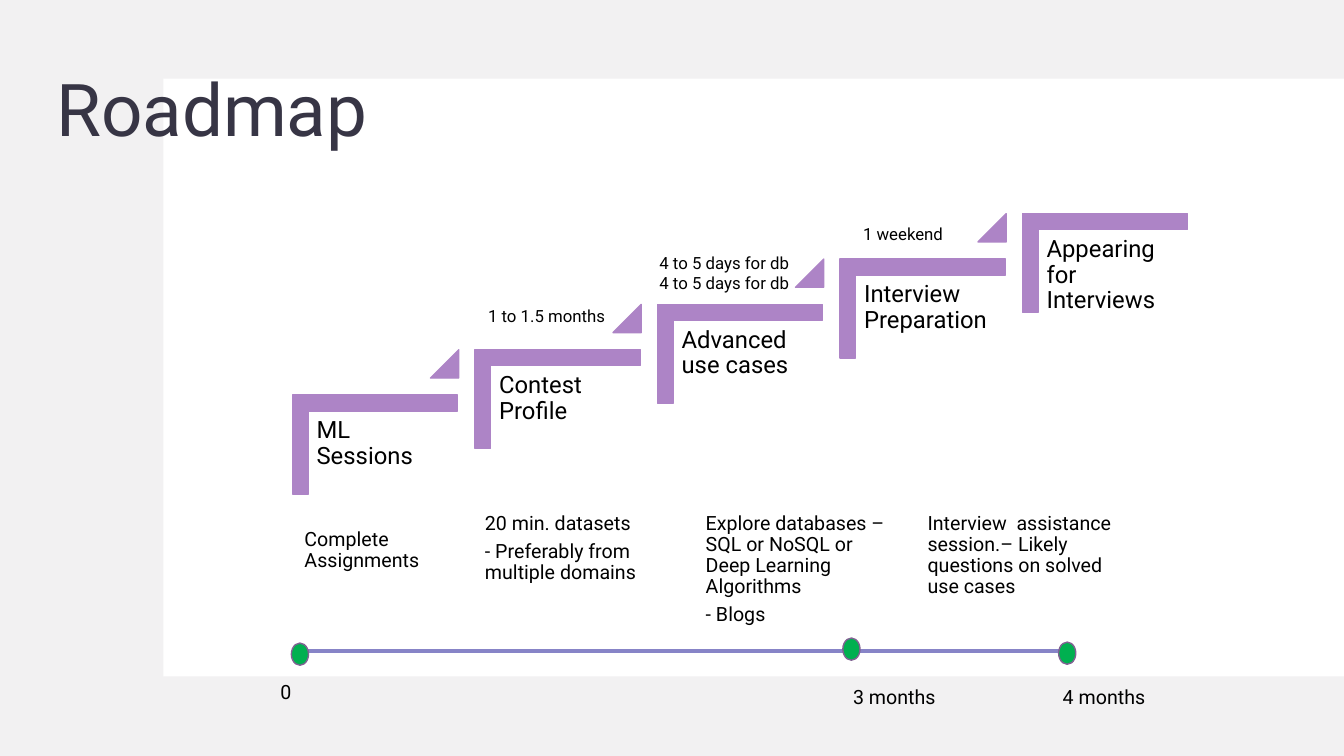
from lxml import etree
from pptx import Presentation
from pptx.dml.color import RGBColor
from pptx.enum import shapes, text
from pptx.oxml.ns import qn
from pptx.util import Inches, Pt

PURPLE, GREEN, RING, TRACK = "AD84C6", "00B050", "806292", "8784C7"
INK, TITLE_INK, BACKDROP, WHITE = "000000", "373545", "DCD8DC", "FFFFFF"
KIND = shapes.MSO_SHAPE


def color(hex_string):
    return RGBColor.from_string(hex_string)


def apply(target, formats):
    for name, value in formats.items():
        setattr(target, name, value)


class Deck:
    """Holds the style and the current slide."""
    font = "Roboto"
    inset = 0.07

    def __init__(self, width, height):
        self.file = Presentation()
        apply(self.file, {"slide_width": Inches(width), "slide_height": Inches(height)})
        self.slide = self.file.slides.add_slide(self.file.slide_layouts[6])

    def shape(self, kind, box, fill, line=None, rotation=0, adjust=(), opacity=None):
        item = self.slide.shapes.add_shape(kind, *map(Inches, box))
        item.shadow.inherit = False
        item.rotation = rotation
        for index, value in enumerate(adjust):
            item.adjustments[index] = value
        item.fill.solid()
        item.fill.fore_color.rgb = color(fill)
        if opacity is not None:
            tint = item._element.spPr.find(".//" + qn("a:srgbClr"))
            etree.SubElement(tint, qn("a:alpha"), val=str(opacity * 1000))
        if line:
            item.line.color.rgb = color(line)
            item.line.width = Pt(1)
        else:
            item.line.fill.background()

    def text(self, box, lines, size, ink=INK, inset=inset, spacing=0.9, gap=0.35,
             anchor=text.MSO_ANCHOR.TOP):
        frame = self.slide.shapes.add_textbox(*map(Inches, box)).text_frame
        apply(frame, {"word_wrap": True, "vertical_anchor": anchor})
        for side in ("left", "top", "right", "bottom"):
            setattr(frame, "margin_" + side, Inches(inset))
        frame.text = "\n".join(lines)
        for paragraph in frame.paragraphs:
            apply(paragraph, {"line_spacing": spacing, "space_after": Pt(size * gap)})
            apply(paragraph.font, {"name": self.font, "size": Pt(size)})
            paragraph.font.color.rgb = color(ink)

    def line(self, start, end, ink, width):
        item = self.slide.shapes.add_connector(
            shapes.MSO_CONNECTOR.STRAIGHT, *map(Inches, start + end))
        item.line.color.rgb = color(ink)
        item.line.width = Pt(width)
        etree.SubElement(item._element.spPr, qn("a:effectLst"))


deck = Deck(13.33, 7.5)

# Backdrop, white panel and title
deck.shape(KIND.RECTANGLE, (0, 0, 13.33, 7.5), BACKDROP, opacity=35)
deck.shape(KIND.RECTANGLE, (1.62, 0.78, 11.71, 5.93), WHITE)
deck.text((0.46, 0.4, 11.53, 1.45), ["Roadmap"], 52, TITLE_INK, inset=0.1, gap=0,
          anchor=text.MSO_ANCHOR.MIDDLE)

# Staircase: each step moves right and up by the same amount
steps = ["ML Sessions", "Contest Profile", "Advanced use cases",
         "Interview Preparation", "Appearing for Interviews"]
for index, step in enumerate(steps):
    across, up = 1.81 * index, 0.45 * index
    deck.shape(KIND.CORNER, (3.23 + across, 3.59 - up, 0.98, 1.64), PURPLE, PURPLE,
               rotation=90, adjust=(0.16, 0.16))
    deck.text((3.07 + across, 4.08 - up, 1.48, 1.3), [step], 17)
    if index < len(steps) - 1:
        deck.shape(KIND.ISOSCELES_TRIANGLE, (4.27 + across, 3.47 - up, 0.28, 0.28),
                   PURPLE, PURPLE, adjust=(1,))

# Tasks under the steps
tasks = [
    (2.95, 5.18, ["Complete Assignments"]),
    (4.74, 5.02, ["20 min. datasets", "- Preferably from multiple domains"]),
    (6.93, 5.02, ["Explore databases –SQL or NoSQL or Deep Learning Algorithms", "- Blogs"]),
    (9.13, 5.02, ["Interview  assistance session.– Likely questions on solved use cases"]),
]
for left, top, task in tasks:
    deck.text((left, top, 2, 0.82), task, 14)

# Timeline: marker position, then label position
deck.line((2.95, 6.46), (10.59, 6.46), TRACK, 3)
milestones = [
    ("0", (2.89, 6.38), (2.71, 6.7)),
    ("3 months", (8.36, 6.33), (8.39, 6.75)),
    ("4 months", (10.5, 6.37), (10.47, 6.75)),
]
for milestone, marker, label in milestones:
    deck.shape(KIND.OVAL, marker + (0.17, 0.22), GREEN, RING)
    deck.text(label + (1.12, 0.4), [milestone], 14)

# Durations above the steps
durations = [
    ((6.44, 2.46, 1.82, 0.5), ["4 to 5 days for db"] * 2),
    ((4.74, 2.98, 1.82, 0.3), ["1 to 1.5 months"]),
    ((8.46, 2.17, 1.17, 0.3), ["1 weekend"]),
]
for (left, top, width, height), duration in durations:
    # Side padding is 0.1 in all: 0.05 here plus the inset
    deck.text((left + 0.05, top, width - 0.1, height), duration, 12,
              inset=0.05, spacing=1.0, gap=0)

deck.file.save("out.pptx")
